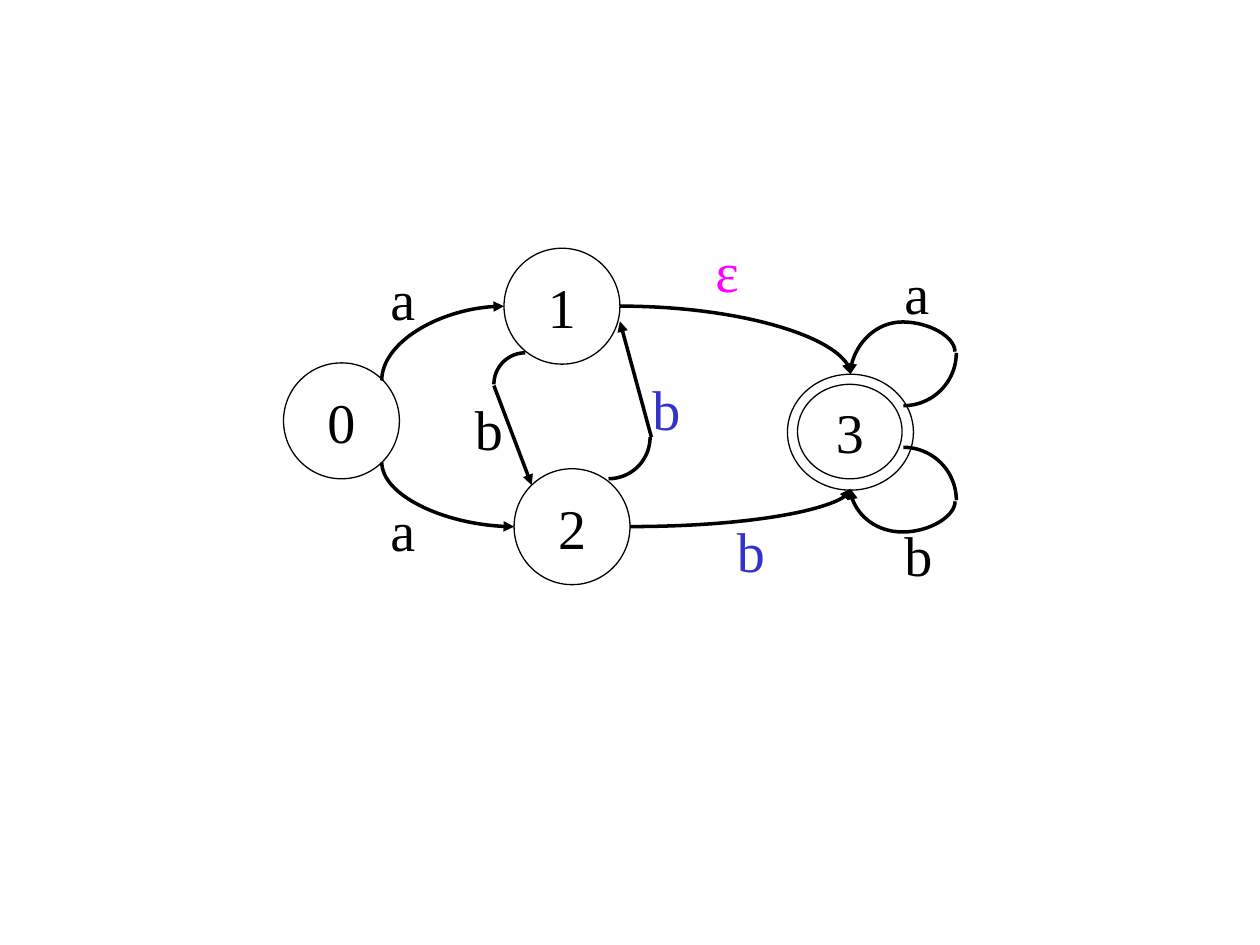
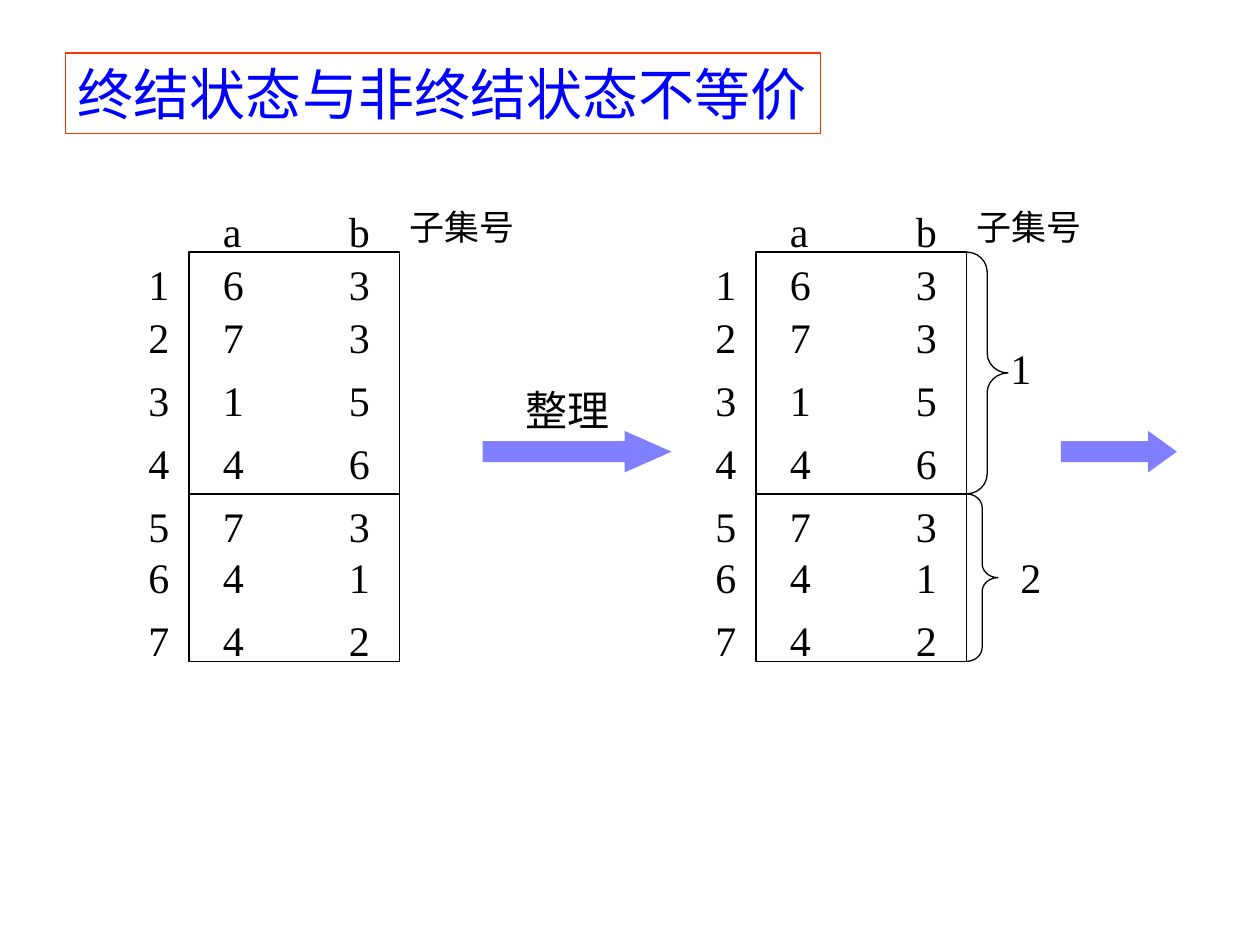
from dataclasses import dataclass
from math import cos, radians, sin

from lxml.etree import SubElement
from pptx import Presentation
from pptx.dml.color import RGBColor
from pptx.enum.shapes import MSO_CONNECTOR, MSO_SHAPE
from pptx.enum.text import MSO_ANCHOR, PP_ALIGN
from pptx.oxml.ns import qn
from pptx.util import Inches, Pt


@dataclass(frozen=True)
class Theme:
    black: str = "000000"
    white: str = "FFFFFF"
    blue: str = "0000FF"
    label_blue: str = "3333CC"
    magenta: str = "FF00FF"
    red: str = "FF3300"
    latin: str = "Times New Roman"
    cjk: str = "Noto Sans CJK SC"
    large: int = 32
    medium: int = 24
    small: int = 20
    thin: float = 0.75
    thick: float = 2


T = Theme()

# Automaton: left, top, width, height, label
STATES = [
    (2.25, 2.88, 0.92, 0.92, "0"),
    (4, 1.97, 0.92, 0.92, "1"),
    (6.25, 2.97, 1, 0.92, ""),
    (6.33, 3.05, 0.83, 0.75, "3"),
    (4.08, 3.72, 0.92, 0.92, "2"),
]
# start, end, leaves vertically, bend (None for a single quarter bend)
CURVES = [
    ((3.03, 3.02), (4, 2.43), True, None),
    ((3.03, 3.67), (4.08, 4.18), True, None),
    ((4.92, 2.43), (6.75, 2.97), False, None),
    ((5, 4.18), (6.75, 3.88), False, None),
    ((7.58, 3.98), (6.75, 3.88), True, -2.43),
    ((7.58, 2.79), (6.75, 2.97), True, -1.31),
]
# centre x, centre y, radius, first angle (clockwise from the right)
QUARTER_ARCS = [
    (4.83, 3.47, 0.33, 0),
    (4.17, 3.05, 0.25, 180),
    (7.17, 2.8, 0.42, 0),
    (7.17, 3.97, 0.42, 270),
]
STRAIGHT_EDGES = [((5.17, 3.47), (4.92, 2.55)), ((3.92, 3.06), (4.22, 3.85))]
EDGE_LABELS = [
    (3, 2.05, "a", T.black),
    (5.58, 1.83, "ε", T.magenta),
    (5.08, 2.92, "b", T.label_blue),
    (7.08, 2, "a", T.black),
    (7.08, 4.08, "b", T.black),
    (5.75, 4.05, "b", T.label_blue),
    (3, 3.88, "a", T.black),
    (3.67, 3.08, "b", T.black),
]

# Partition: state, target on a, target on b
TITLE = "终结状态与非终结状态不等价"
COLUMNS = ["", "a", "b"]
SUBSET_HEADING = "子集号"
TRANSITIONS = ["163", "273", "315", "446", "573", "641", "742"]
ROW_TOPS = [2, 2.42, 2.92, 3.42, 3.92, 4.33, 4.83]
COLUMN_OFFSETS = [-0.42, 0.17, 1.17]
TABLE_LEFTS = [1.5, 6]
TABLE_TOP, TABLE_WIDTH, TABLE_HEIGHT = 2, 1.67, 3.25
HEADER_TOP, SPLIT_Y = 1.58, 3.92
CELL = (0.33, 0.5)
# top, width, height, curl, label left, label top, label
SUBSETS = [
    (TABLE_TOP, 0.33, 1.92, 0.48, 7.92, 2.67, "1"),
    (SPLIT_Y, 0.25, 1.33, 0.44, 8, 4.33, "2"),
]
# left, width, head length
STEP_ARROWS = [(3.83, 1.5, 1.13), (8.42, 0.92, 0.69)]
STEP_TOP, STEP_HEIGHT = 3.42, 0.33


def write(s, text, size, color=T.black, align=PP_ALIGN.LEFT, font=T.latin):
    p = s.text_frame.paragraphs[0]
    p.text, p.alignment = text, align
    p.font.size, p.font.name = Pt(size), font
    p.font.color.rgb = RGBColor.from_string(color)
    SubElement(p._p.pPr.find(qn("a:defRPr")), qn("a:ea"), typeface=T.cjk)


def add_label(slide, left, top, width, height, text, size, **style):
    s = slide.shapes.add_textbox(*map(Inches, (left, top, width, height)))
    s.text_frame.word_wrap = True
    write(s, text, size, **style)


def paint(s, fill=None, line=T.black, weight=T.thin):
    s.shadow.inherit = False
    if fill:
        s.fill.solid()
        s.fill.fore_color.rgb = RGBColor.from_string(fill)
    else:
        s.fill.background()
    if line:
        s.line.color.rgb = RGBColor.from_string(line)
        s.line.width = Pt(weight)
    else:
        s.line.fill.background()


def add_preset(slide, kind, left, top, width, height, adjustments=(), **style):
    s = slide.shapes.add_shape(kind, *map(Inches, (left, top, width, height)))
    for i, value in enumerate(adjustments):
        s.adjustments[i] = value
    paint(s, **style)
    return s


def add_line(slide, start, end, kind=MSO_CONNECTOR.STRAIGHT, weight=T.thick, arrow=True):
    c = slide.shapes.add_connector(kind, *map(Inches, (*start, *end)))
    c.line.color.rgb = RGBColor.from_string(T.black)
    c.line.width = Pt(weight)
    if arrow:
        SubElement(c.line._get_or_add_ln(), qn("a:tailEnd"), type="triangle")
    SubElement(c._element.spPr, qn("a:effectLst"))
    return c


def add_curve(slide, start, end, vertical, bend):
    """Add a curved arrow; one that leaves vertically is a frame turned by 270 degrees."""
    c = add_line(slide, start, end, MSO_CONNECTOR.CURVE)
    (x1, y1), (x2, y2) = start, end
    flip_h, flip_v = x2 < x1, y2 < y1
    if vertical:
        flip_h, flip_v = y2 > y1, x2 < x1
        width, height = abs(y2 - y1), abs(x2 - x1)
        c.left, c.top = Inches((x1 + x2 - width) / 2), Inches((y1 + y2 - height) / 2)
        c.width, c.height = Inches(width), Inches(height)
    xfrm = c._element.spPr.find(qn("a:xfrm"))
    xfrm.set("rot", str(270 * 60000 if vertical else 0))
    xfrm.set("flipH", str(int(flip_h)))
    xfrm.set("flipV", str(int(flip_v)))
    geometry = c._element.spPr.find(qn("a:prstGeom"))
    if bend is None:
        geometry.set("prst", "curvedConnector2")
    else:
        guides = geometry.find(qn("a:avLst"))
        SubElement(guides, qn("a:gd"), name="adj1", fmla=f"val {round(bend * 100000)}")


def add_quarter_arc(slide, cx, cy, radius, first, steps=24):
    angles = [radians(first + 90 * i / steps) for i in range(steps + 1)]
    points = [(Inches(cx + radius * cos(a)), Inches(cy + radius * sin(a))) for a in angles]
    builder = slide.shapes.build_freeform(*points[0])
    builder.add_line_segments(points[1:], close=False)
    paint(builder.convert_to_shape(), weight=T.thick)


def build_automaton(slide):
    for *box, name in STATES:
        s = add_preset(slide, MSO_SHAPE.OVAL, *box, fill=T.white)
        if name:
            s.text_frame.word_wrap = False
            s.text_frame.vertical_anchor = MSO_ANCHOR.MIDDLE
            write(s, name, T.large, align=PP_ALIGN.CENTER)
    for curve in CURVES:
        add_curve(slide, *curve)
    for arc in QUARTER_ARCS:
        add_quarter_arc(slide, *arc)
    for start, end in STRAIGHT_EDGES:
        add_line(slide, start, end)
    for left, top, text, color in EDGE_LABELS:
        add_label(slide, left, top, 0.42, 0.64, text, T.large, color=color)


def add_centred(slide, left, top, text, size=T.medium, box=CELL):
    add_label(slide, left, top, *box, text, size, align=PP_ALIGN.CENTER)


def add_transition_table(slide, left):
    add_preset(slide, MSO_SHAPE.RECTANGLE, left, TABLE_TOP, TABLE_WIDTH, TABLE_HEIGHT)
    for top, row in zip([HEADER_TOP, *ROW_TOPS], [COLUMNS, *TRANSITIONS]):
        for offset, text in zip(COLUMN_OFFSETS, row):
            if text:
                add_centred(slide, left + offset, top, text)
    add_line(slide, (left, SPLIT_Y), (left + TABLE_WIDTH, SPLIT_Y), weight=T.thin, arrow=False)
    add_centred(slide, left + 1.58, HEADER_TOP, SUBSET_HEADING, T.small, (1.17, 0.43))


def build_partition(slide):
    for left in TABLE_LEFTS:
        add_transition_table(slide, left)
    brace_left = TABLE_LEFTS[1] + TABLE_WIDTH
    for top, width, height, curl, label_left, label_top, name in SUBSETS:
        add_preset(slide, MSO_SHAPE.RIGHT_BRACE, brace_left, top, width, height, (curl, 0.5))
        add_centred(slide, label_left, label_top, name)
    for left, width, head in STEP_ARROWS:
        s = add_preset(slide, MSO_SHAPE.RIGHT_ARROW, left, STEP_TOP, width, STEP_HEIGHT,
                       (0.5, head), fill=T.blue, line=None)
        color = s._element.spPr.find(qn("a:solidFill"))[0]
        SubElement(color, qn("a:alpha"), val="50000")
    add_centred(slide, 3.92, 3, "整理", box=(1.17, 0.5))
    s = add_preset(slide, MSO_SHAPE.RECTANGLE, 0.52, 0.42, 5.99, 0.64, line=T.red)
    s.text_frame.word_wrap = False
    s.text_frame.vertical_anchor = MSO_ANCHOR.TOP
    write(s, TITLE, T.large, color=T.blue, font=T.cjk)


def main():
    prs = Presentation()
    prs.slide_width, prs.slide_height = Inches(10), Inches(7.5)
    for build in (build_automaton, build_partition):
        build(prs.slides.add_slide(prs.slide_layouts[6]))
    prs.save("out.pptx")


if __name__ == "__main__":
    main()
